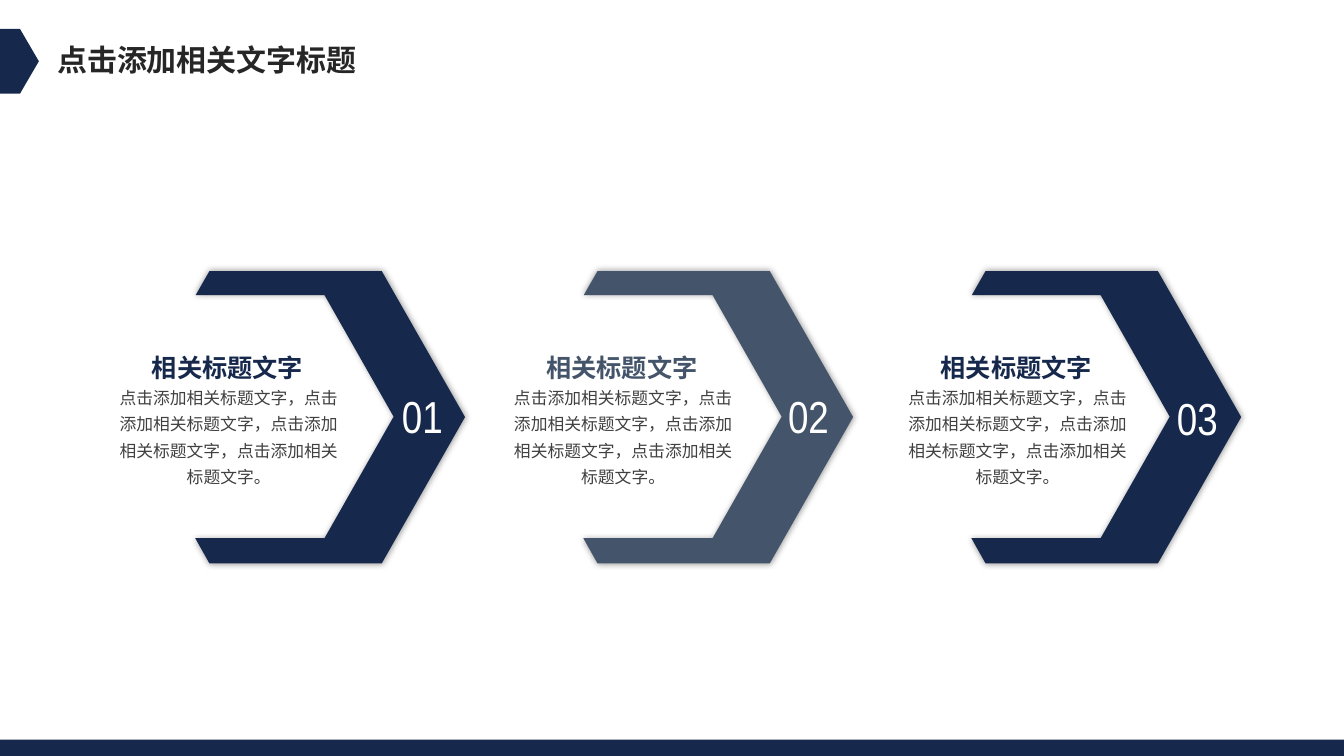
from dataclasses import dataclass
from typing import Any

import pptx
import pptx.dml.color
import pptx.enum.shapes
import pptx.enum.text
import pptx.oxml.ns
import pptx.util
from lxml import etree

Cm = pptx.util.Cm
Shape = pptx.enum.shapes.MSO_SHAPE
Align = pptx.enum.text.PP_ALIGN
qn = pptx.oxml.ns.qn


@dataclass(frozen=True)
class Theme:
    navy: str = "16294C"
    slate: str = "44546A"
    title: str = "262626"
    body: str = "404040"
    white: str = "FFFFFF"
    shadow: str = "000000"
    text_font: str = "Noto Sans CJK SC"
    number_font: str = "Arial Narrow"
    title_size: float = 21.4
    number_size: float = 32
    heading_size: float = 18
    body_size: float = 12


@dataclass(frozen=True)
class Box:
    """A rectangle in centimetres."""

    left: float
    top: float
    width: float
    height: float

    def lengths(self) -> tuple[int, int, int, int]:
        return Cm(self.left), Cm(self.top), Cm(self.width), Cm(self.height)


@dataclass(frozen=True)
class Step:
    number: str
    color: str
    number_box: Box


THEME = Theme()
SLIDE_WIDTH, SLIDE_HEIGHT = 33.87, 19.05
TITLE = "点击添加相关文字标题"
HEADING = "相关标题文字"
BODY = "，".join(["点击添加相关标题文字"] * 4) + "。"

STEPS = [
    Step("01", THEME.navy, Box(9.88, 9.68, 1.55, 1.63)),
    Step("02", THEME.slate, Box(19.61, 9.68, 1.7, 1.63)),
    Step("03", THEME.navy, Box(29.41, 9.73, 1.73, 1.63)),
]
ARROW_LEFT, ARROW_TOP, ARROW_PITCH = 4.92, 6.83, 9.78
ARROW_POINTS = [
    (0.36, 0), (4.7, 0), (6.8, 3.68), (4.7, 7.37), (0.36, 7.37),
    (0, 6.73), (3.26, 6.73), (5, 3.67), (3.26, 0.61), (0.01, 0.61),
]
HEADING_LEFT, BODY_LEFT, TEXT_PITCH = 3.58, 2.74, 9.94


def rgb(color: str) -> pptx.dml.color.RGBColor:
    return pptx.dml.color.RGBColor.from_string(color)


def paint(shape: Any, color: str) -> None:
    shape.fill.solid()
    shape.fill.fore_color.rgb = rgb(color)
    shape.line.fill.background()
    shape.shadow.inherit = False


def add_glow_shadow(shape: Any) -> None:
    """Add a soft shadow with no offset to a painted shape."""
    effects = shape.element.spPr.find(qn("a:effectLst"))
    shadow = etree.SubElement(
        effects, qn("a:outerShdw"), blurRad=str(pptx.util.Pt(5)), dist="0", dir="0"
    )
    color = etree.SubElement(shadow, qn("a:srgbClr"), val=THEME.shadow)
    etree.SubElement(color, qn("a:alpha"), val="40000")


def write_text(
    shape: Any,
    text: str,
    *,
    size: float,
    color: str,
    font: str = THEME.text_font,
    bold: bool = False,
    align: Align = Align.LEFT,
    line_spacing: float = 1.0,
    wrap: bool = False,
) -> None:
    frame = shape.text_frame
    frame.word_wrap = wrap
    frame.auto_size = pptx.enum.text.MSO_AUTO_SIZE.SHAPE_TO_FIT_TEXT
    frame.vertical_anchor = pptx.enum.text.MSO_ANCHOR.TOP
    paragraph = frame.paragraphs[0]
    paragraph.alignment = align
    paragraph.line_spacing = line_spacing
    run = paragraph.add_run()
    run.text = text
    run.font.size = pptx.util.Pt(size)
    run.font.bold = bold
    run.font.color.rgb = rgb(color)
    run.font.name = font
    etree.SubElement(run._r.get_or_add_rPr(), qn("a:ea"), typeface=font)


def add_text(shapes: Any, box: Box, text: str, **text_format: Any) -> None:
    write_text(shapes.add_textbox(*box.lengths()), text, **text_format)


def add_arrow(shapes: Any, left: float, color: str) -> None:
    points = [(Cm(left + x), Cm(ARROW_TOP + y)) for x, y in ARROW_POINTS]
    builder = shapes.build_freeform(*points[0])
    builder.add_line_segments(points[1:], close=True)
    arrow = builder.convert_to_shape()
    paint(arrow, color)
    add_glow_shadow(arrow)


def add_step(slide: Any, index: int, step: Step) -> None:
    shapes = slide.shapes.add_group_shape().shapes
    shift = index * TEXT_PITCH
    add_arrow(shapes, ARROW_LEFT + index * ARROW_PITCH, step.color)
    add_text(shapes, step.number_box, step.number, size=THEME.number_size,
             color=THEME.white, font=THEME.number_font)
    add_text(shapes, Box(HEADING_LEFT + shift, 8.53, 4.37, 1.17), HEADING,
             size=THEME.heading_size, color=step.color, bold=True, line_spacing=1.3)
    add_text(shapes, Box(BODY_LEFT + shift, 9.5, 6.05, 2.92), BODY,
             size=THEME.body_size, color=THEME.body, align=Align.CENTER,
             line_spacing=1.3, wrap=True)


def add_title(slide: Any) -> None:
    marker = slide.shapes.add_shape(Shape.PENTAGON, *Box(0, 0.73, 0.98, 1.63).lengths())
    marker.adjustments[0] = 0.484
    paint(marker, THEME.navy)
    title = slide.shapes.title
    title.left, title.top, title.width, title.height = Box(1.19, 0.92, 8.13, 1.17).lengths()
    write_text(title, TITLE, size=THEME.title_size, color=THEME.title, bold=True)


def main() -> None:
    presentation = pptx.Presentation()
    presentation.slide_width = Cm(SLIDE_WIDTH)
    presentation.slide_height = Cm(SLIDE_HEIGHT)
    slide = presentation.slides.add_slide(presentation.slide_layouts[5])
    for index, step in enumerate(STEPS):
        add_step(slide, index, step)
    add_title(slide)
    footer_box = Box(0, 18.64, SLIDE_WIDTH, 0.41)
    paint(slide.shapes.add_shape(Shape.RECTANGLE, *footer_box.lengths()), THEME.navy)
    presentation.save("out.pptx")


if __name__ == "__main__":
    main()
